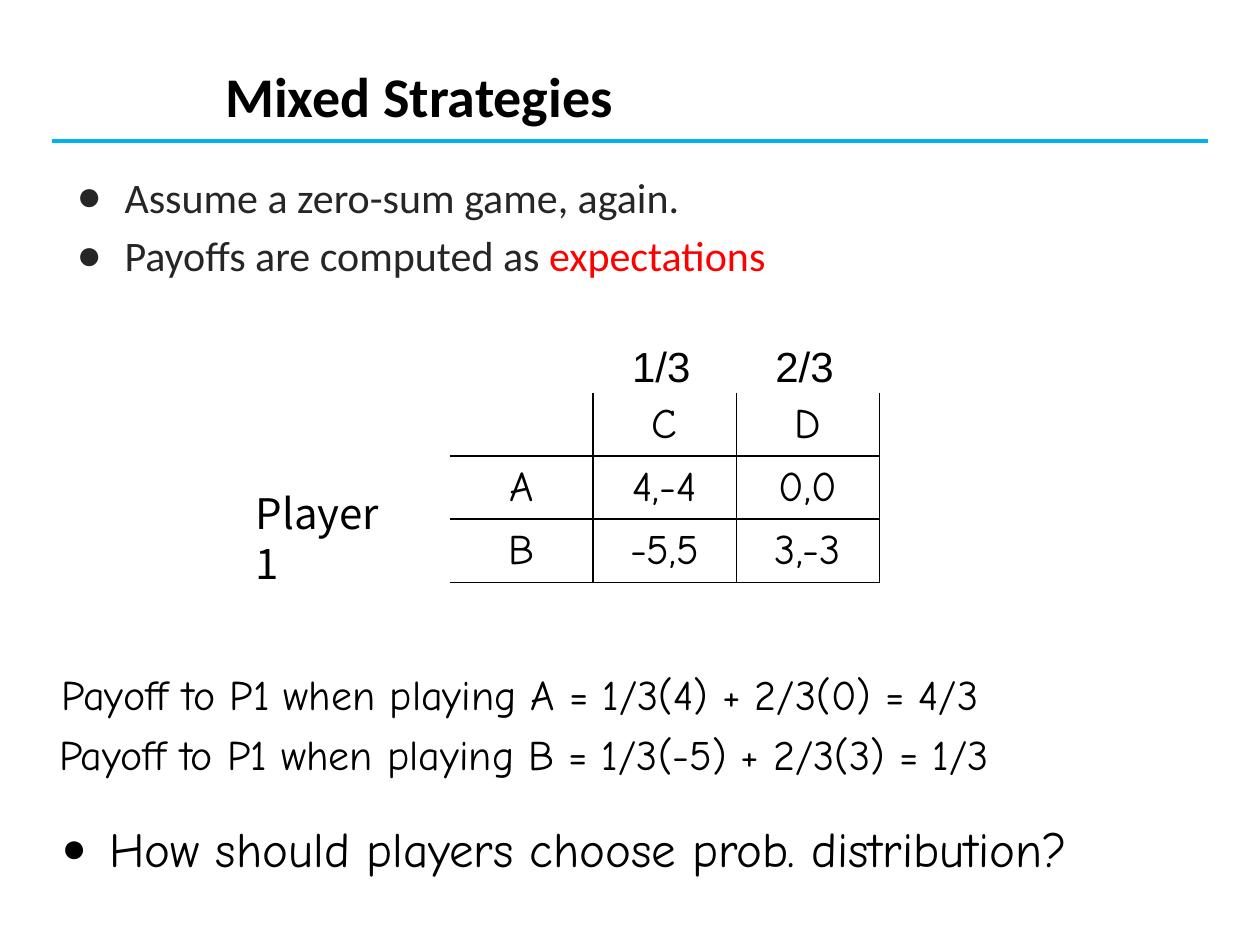
from lxml import etree
from pptx import Presentation
from pptx.dml.color import RGBColor
from pptx.enum.shapes import MSO_CONNECTOR
from pptx.enum.text import MSO_ANCHOR, PP_ALIGN
from pptx.oxml.ns import qn
from pptx.util import Inches, Pt

COLORS = {"text": "000000", "body": "262626", "accent": "FF0000", "rule": "00B0F0"}
STRAIGHT = MSO_CONNECTOR.STRAIGHT
TOP, MIDDLE = MSO_ANCHOR.TOP, MSO_ANCHOR.MIDDLE
LEFT, CENTER = PP_ALIGN.LEFT, PP_ALIGN.CENTER
BLANK_LAYOUT = 6
BULLET_INDENT = Inches(0.38)
COLUMN_WIDTH = 1.137
HAND_FONT = "Comic Neue"


def add_bullet(paragraph, size_percent):
    """Give a paragraph a round bullet with a hanging indent."""
    properties = paragraph._p.get_or_add_pPr()
    properties.set("marL", str(BULLET_INDENT))
    properties.set("indent", str(-BULLET_INDENT))
    size = etree.SubElement(properties, qn("a:buSzPct"))
    size.set("val", str(size_percent * 1000))
    etree.SubElement(properties, qn("a:buFont")).set("typeface", "Arial")
    etree.SubElement(properties, qn("a:buChar")).set("char", "●")


def write_text(paragraph, text, size=24, font=HAND_FONT, color="text", bold=False,
               align=LEFT, space=0):
    """Append a formatted run to a paragraph."""
    paragraph.alignment = align
    paragraph.space_before = Pt(space)
    run = paragraph.add_run()
    run.text = text
    run.font.size = Pt(size)
    run.font.name = font
    run.font.bold = bold
    run.font.color.rgb = RGBColor.from_string(COLORS[color])
    for tag in ("a:ea", "a:cs"):
        etree.SubElement(run.font._element, qn(tag)).set("typeface", font)


def add_frame(slide, left, top, width, height):
    """Add a wrapping text box and return its text frame."""
    shape = slide.shapes.add_textbox(Inches(left), Inches(top), Inches(width), Inches(height))
    shape.text_frame.word_wrap = True
    shape.text_frame.vertical_anchor = TOP
    return shape.text_frame


def add_line_of_text(slide, place, text, **text_format):
    """Add a text box with one paragraph and return that paragraph."""
    paragraph = add_frame(slide, *place).paragraphs[0]
    write_text(paragraph, text, **text_format)
    return paragraph


def set_borders(cell, sides):
    """Draw the named sides of a cell and clear the others."""
    properties = cell._tc.get_or_add_tcPr()
    for index, side in enumerate("LRTB"):
        line = etree.Element(qn(f"a:ln{side}"))
        line.set("w", str(Pt(1)))
        if side in sides:
            fill = etree.SubElement(line, qn("a:solidFill"))
            etree.SubElement(fill, qn("a:srgbClr")).set("val", COLORS["text"])
        else:
            etree.SubElement(line, qn("a:noFill"))
        properties.insert(index, line)


def add_grid(slide, left, top, row_height, rows, font=HAND_FONT, ruled=True):
    """Add a table of centred text, ruled except at its left and top edges."""
    column_count = len(rows[0])
    table = slide.shapes.add_table(
        len(rows), column_count, Inches(left), Inches(top),
        Inches(COLUMN_WIDTH * column_count), Inches(row_height * len(rows))).table
    table.first_row = table.horz_banding = False
    for row_index, row in enumerate(rows):
        for column_index, text in enumerate(row):
            cell = table.cell(row_index, column_index)
            cell.vertical_anchor = MIDDLE
            cell.fill.background()
            sides = "RB" + "L" * (column_index > 0) + "T" * (row_index > 0)
            set_borders(cell, sides if ruled else "")
            if text:
                write_text(cell.text_frame.paragraphs[0], text, font=font, align=CENTER)


def add_rule(slide):
    """Draw the line under the title."""
    line = slide.shapes.add_connector(
        STRAIGHT, Inches(0.41), Inches(1.12), Inches(9.59), Inches(1.12))
    line.line.color.rgb = RGBColor.from_string(COLORS["rule"])
    line.line.width = Pt(2.25)
    etree.SubElement(line._element.spPr, qn("a:effectLst"))


def add_assumptions(slide):
    """Add the two opening bullets."""
    frame = add_frame(slide, 0.51, 1.31, 8.95, 1.1)
    bullets = [
        [("Assume a zero-sum game, again.", "body")],
        [("Payoffs are computed as ", "body"), ("expectations", "accent")],
    ]
    for index, runs in enumerate(bullets):
        paragraph = frame.add_paragraph() if index else frame.paragraphs[0]
        for text, color in runs:
            write_text(paragraph, text, font="Calibri", color=color, space=4.8 * index)
        add_bullet(paragraph, 100)


def main():
    """Build and save the slide."""
    presentation = Presentation()
    presentation.slide_width, presentation.slide_height = Inches(10), Inches(7.5)
    slide = presentation.slides.add_slide(presentation.slide_layouts[BLANK_LAYOUT])
    add_rule(slide)
    add_assumptions(slide)
    add_line_of_text(slide, (1.69, 0.44, 7.8, 0.59), "Mixed Strategies",
                     size=32, font="Calibri", bold=True)
    add_grid(slide, 3.57, 3.12, 0.48,
             [["", "C", "D"], ["A", "4,-4", "0,0"], ["B", "-5,5", "3,-3"]])
    add_line_of_text(slide, (1.93, 3.82, 1.4, 0.5), "Player 1", font="Noto Sans CJK KR")
    add_grid(slide, 4.68, 2.67, 0.5, [["1/3", "2/3"]], font="Arial", ruled=False)
    add_line_of_text(slide, (0.39, 5.26, 8.13, 0.5),
                     "Payoff to P1 when playing A = 1/3(4) + 2/3(0) = 4/3")
    add_line_of_text(slide, (0.37, 5.73, 8.18, 0.5),
                     "Payoff to P1 when playing B = 1/3(-5) + 2/3(3) = 1/3")
    question = add_line_of_text(slide, (0.39, 6.45, 9.24, 0.73),
                                "How should players choose prob. distribution?",
                                size=28, space=5.6)
    add_bullet(question, 85)
    presentation.save("out.pptx")


main()
